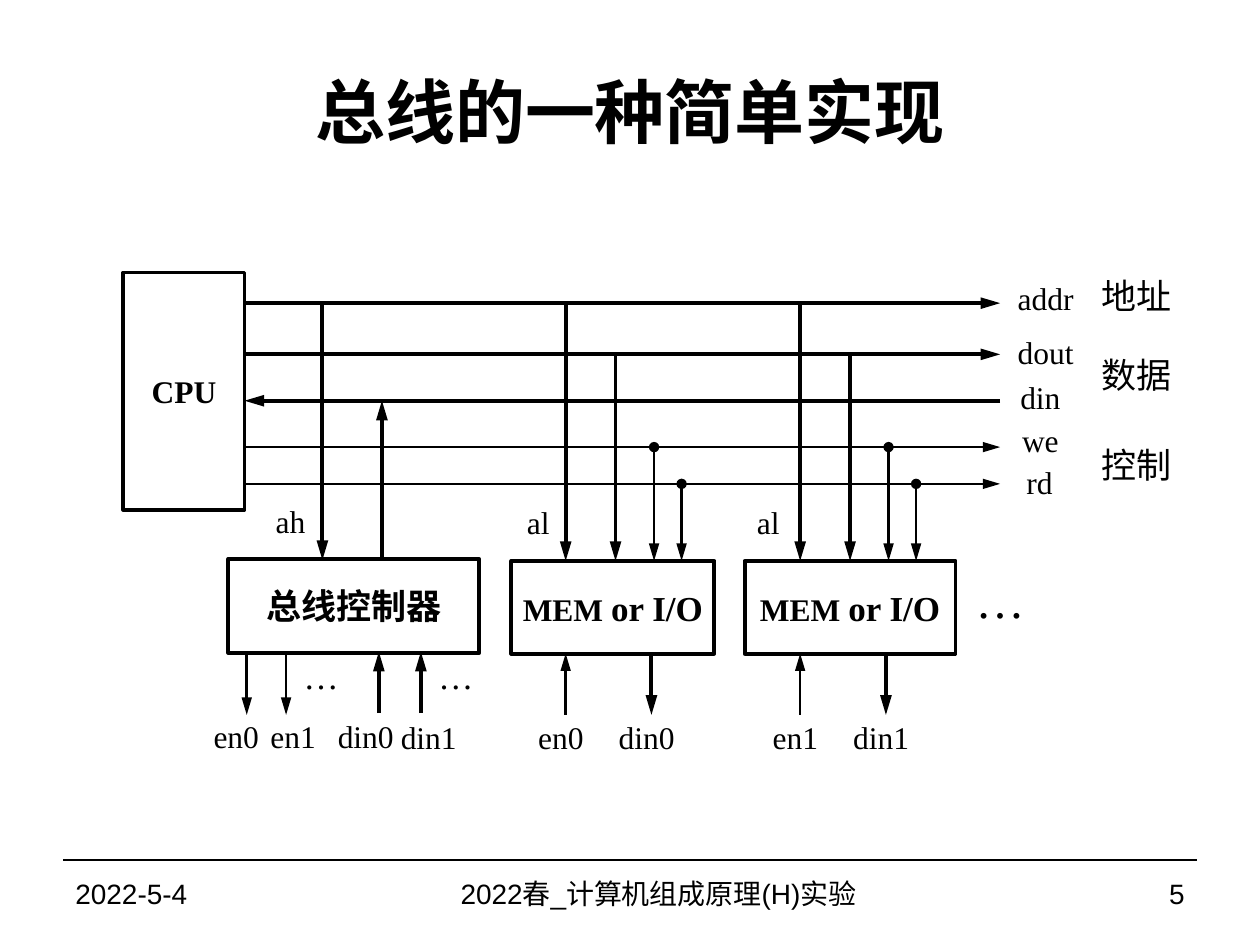
"""Build a slide showing a simple bus between a CPU, a bus controller and modules."""
from dataclasses import dataclass

from lxml.etree import SubElement
from pptx import Presentation
from pptx.dml.color import RGBColor
from pptx.enum.shapes import MSO_CONNECTOR, MSO_SHAPE
from pptx.enum.text import MSO_ANCHOR, PP_ALIGN
from pptx.oxml.ns import qn
from pptx.shapes.autoshape import Shape
from pptx.shapes.connector import Connector
from pptx.slide import Slide
from pptx.text.text import TextFrame
from pptx.util import Pt

BLACK = "000000"
SERIF, SANS = "Times New Roman", "Arial"
THICK, MEDIUM, THIN = 2.25, 1.5, 1.25
CPU_RIGHT, BUS_END = 139.75, 571.5
ADDR, DOUT, DIN, WE, RD = 173.25, 202.5, 229, 255.5, 276.5
MODULE_TOP, MODULE_HEIGHT = 320.5, 53
MODULE_BOTTOM = MODULE_TOP + MODULE_HEIGHT
PIN_END, PIN_LABEL = 408.5, 420.5


@dataclass(frozen=True)
class Label:
    text: str
    center: float
    middle: float
    size: float = 18


@dataclass(frozen=True)
class Box:
    runs: tuple[tuple[str, float], ...]
    left: float
    top: float
    width: float
    height: float


@dataclass(frozen=True)
class Wire:
    start: tuple[float, float]
    end: tuple[float, float]
    weight: float = THICK
    head: str = ""
    tail: str = "triangle"


@dataclass(frozen=True)
class Module:
    box: Box
    offset: float
    address_label: float
    number: int


@dataclass(frozen=True)
class Caption:
    text: str
    left: float
    top: float
    width: float
    height: float
    size: float
    alignment: PP_ALIGN
    bold: bool = False


LABELS = (
    Label("addr", 597.5, 170), Label("dout", 597.5, 201),
    Label("din", 594.5, 227), Label("we", 594.5, 251.5), Label("rd", 594, 275.5),
    Label("地址", 649.5, 169, 20), Label("数据", 649.5, 214, 20),
    Label("控制", 649.5, 265.5, 20),
    Label("ah", 166, 297.5),
    Label("en0", 135, PIN_LABEL), Label("en1", 167.5, PIN_LABEL),
    Label("din0", 209, PIN_LABEL), Label("din1", 245, PIN_LABEL + 0.5),
    Label("…", 183.5, 386, 20), Label("…", 260.5, 386, 20),
    Label("…", 571.5, 342, 28),
)
BOXES = (
    Box((("CPU", 18),), 70.5, 155.75, 69.25, 135.5),
    Box((("总线控制器", 20),), 130.5, 319.5, 143.5, 53.5),
)
WIRES = (
    *(Wire((CPU_RIGHT, y), (BUS_END, y), weight) for y, weight in
      ((ADDR, THICK), (DOUT, THICK), (WE, MEDIUM), (RD, MEDIUM))),
    Wire((BUS_END, DIN), (CPU_RIGHT, DIN)),
    Wire((184.25, ADDR), (184.25, 320)),
    Wire((218.25, 320), (218.25, DIN)),
    *(Wire((x, 373), (x, PIN_END), MEDIUM) for x in (141, 163.5)),
    *(Wire((x, 407.5), (x, 372.5)) for x in (216.5, 240.5)),
)
MEMORY_RUNS = (("MEM ", 18), ("or I/O", 20))
MODULES = (
    Module(Box(MEMORY_RUNS, 292.25, MODULE_TOP, 116, MODULE_HEIGHT), 0, 307.5, 0),
    Module(Box(MEMORY_RUNS, 425.5, MODULE_TOP, 120.5, MODULE_HEIGHT), 134, 439, 1),
)
CAPTIONS = (
    Caption("总线的一种简单实现", 36, 18, 648, 90, 40, PP_ALIGN.CENTER, True),
    Caption("2022-5-4", 36, 491.5, 168, 37.5, 16, PP_ALIGN.LEFT),
    Caption("2022春_计算机组成原理(H)实验 ", 204, 491.5, 348, 37.5, 16, PP_ALIGN.CENTER),
    Caption("5", 552, 491.5, 132, 37.5, 16, PP_ALIGN.RIGHT),
)


def color(value: str) -> RGBColor:
    """Turn a hex string into a colour."""
    return RGBColor.from_string(value)


def write_text(frame: TextFrame, runs: tuple[tuple[str, float], ...], name: str,
               bold: bool, alignment: PP_ALIGN) -> None:
    """Fill the single paragraph of a text frame."""
    frame.vertical_anchor = MSO_ANCHOR.MIDDLE
    paragraph = frame.paragraphs[0]
    paragraph.alignment = alignment
    paragraph.font.name = name
    paragraph.font.bold = bold
    paragraph.font.color.rgb = color(BLACK)
    paragraph.font.size = Pt(runs[0][1])
    for text, size in runs:
        run = paragraph.add_run()
        run.text = text
        if size != runs[0][1]:
            run.font.size = Pt(size)


def set_margins(frame: TextFrame, margin: float) -> None:
    """Give a text frame equal margins and no wrapping."""
    frame.margin_left = frame.margin_right = Pt(margin)
    frame.margin_top = frame.margin_bottom = Pt(margin)
    frame.word_wrap = False


def draw_label(slide: Slide, label: Label) -> None:
    """Centre a short label on a point."""
    width, height = 46, 24.5
    shape = slide.shapes.add_textbox(Pt(label.center - width / 2), Pt(label.middle - height / 2),
                                     Pt(width), Pt(height))
    set_margins(shape.text_frame, 0)
    write_text(shape.text_frame, ((label.text, label.size),), SERIF, False, PP_ALIGN.CENTER)


def draw_caption(slide: Slide, caption: Caption) -> None:
    """Draw the title or a part of the footer."""
    shape = slide.shapes.add_textbox(Pt(caption.left), Pt(caption.top),
                                     Pt(caption.width), Pt(caption.height))
    shape.text_frame.word_wrap = True
    write_text(shape.text_frame, ((caption.text, caption.size),), SANS,
               caption.bold, caption.alignment)


def draw_box(slide: Slide, box: Box) -> Shape:
    """Draw an outlined box with bold text."""
    shape = slide.shapes.add_shape(MSO_SHAPE.RECTANGLE, Pt(box.left), Pt(box.top),
                                   Pt(box.width), Pt(box.height))
    shape.shadow.inherit = False
    shape.fill.background()
    shape.line.color.rgb = color(BLACK)
    shape.line.width = Pt(THICK)
    set_margins(shape.text_frame, 3)
    write_text(shape.text_frame, box.runs, SERIF, True, PP_ALIGN.CENTER)
    return shape


def draw_wire(slide: Slide, wire: Wire) -> Connector:
    """Draw a straight line with its end marks."""
    connector = slide.shapes.add_connector(MSO_CONNECTOR.STRAIGHT, *map(Pt, wire.start + wire.end))
    connector.line.color.rgb = color(BLACK)
    connector.line.width = Pt(wire.weight)
    line = connector.line._get_or_add_ln()
    for tag, kind in (("a:headEnd", wire.head), ("a:tailEnd", wire.tail)):
        if kind:
            length = "lg" if kind == "triangle" else "med"
            SubElement(line, qn(tag), type=kind, w="med", len=length)
    SubElement(connector._element.spPr, qn("a:effectLst"))
    return connector


def draw_module(slide: Slide, module: Module) -> None:
    """Draw a memory or I/O box with its bus taps and pins."""
    box, offset = module.box, module.offset
    shape = draw_box(slide, box)
    for x, y, weight, head in ((323.25, ADDR, THICK, ""), (351.75, DOUT, THICK, ""),
                               (373.75, WE, THIN, "oval"), (389.5, RD, THIN, "oval")):
        x += offset
        connector = draw_wire(slide, Wire((x, y), (x, MODULE_TOP), weight, head))
        if x == box.left + box.width / 2:
            connector.end_connect(shape, 0)
    enable, data = 323.25 + offset, 372.25 + offset
    draw_wire(slide, Wire((enable, PIN_END), (enable, MODULE_BOTTOM), MEDIUM))
    draw_wire(slide, Wire((data, MODULE_BOTTOM), (data, PIN_END)))
    draw_label(slide, Label("al", module.address_label, 298.5))
    draw_label(slide, Label(f"en{module.number}", 320.5 + offset, PIN_LABEL + 0.5))
    draw_label(slide, Label(f"din{module.number}", 369.5 + offset, PIN_LABEL + 0.5))


def main() -> None:
    """Build and save the presentation."""
    presentation = Presentation()
    presentation.slide_width, presentation.slide_height = Pt(720), Pt(540)
    slide = presentation.slides.add_slide(presentation.slide_layouts[6])
    draw_wire(slide, Wire((36, 491.5), (684, 491.5), 0.75, tail=""))
    for draw, items in ((draw_caption, CAPTIONS), (draw_box, BOXES), (draw_wire, WIRES),
                        (draw_module, MODULES), (draw_label, LABELS)):
        for item in items:
            draw(slide, item)
    presentation.save("out.pptx")


if __name__ == "__main__":
    main()
